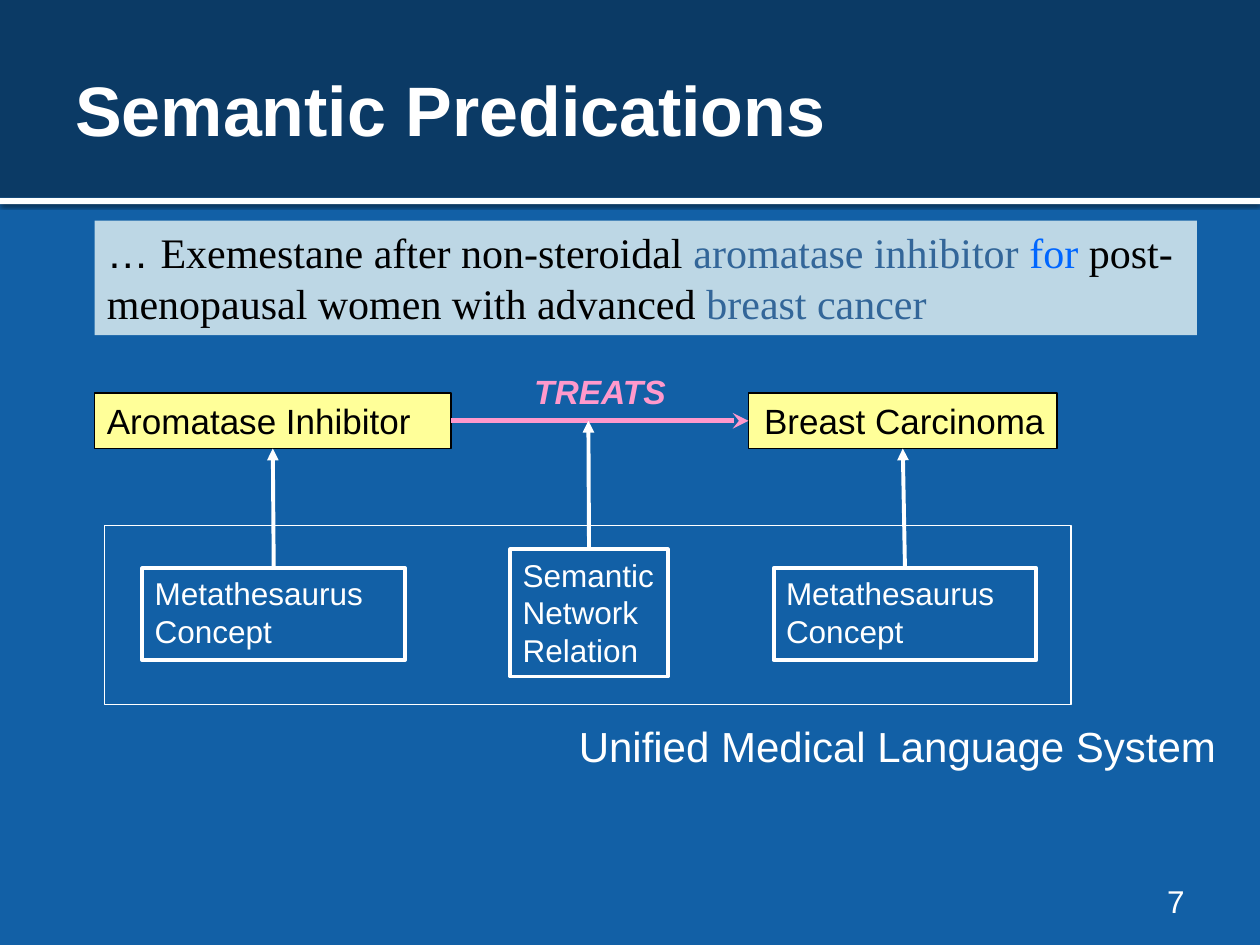
from dataclasses import dataclass
from lxml.etree import SubElement
from pptx import Presentation
from pptx.dml.color import RGBColor
from pptx.enum.shapes import MSO_CONNECTOR, MSO_SHAPE
from pptx.enum.text import MSO_ANCHOR, PP_ALIGN
from pptx.oxml import parse_xml
from pptx.oxml.ns import nsdecls, qn
from pptx.util import Inches, Pt


@dataclass(frozen=True)
class Theme:
    """Colours, fonts and type sizes of the slide."""
    back: str = "1260A6"
    band: str = "0B3A65"
    white: str = "FFFFFF"
    black: str = "000000"
    pale: str = "BDD7E5"
    yellow: str = "FFFF99"
    pink: str = "FF99CC"
    steel: str = "336699"
    blue: str = "0066FF"
    sans: str = "Arial"
    serif: str = "Times New Roman"
    title: int = 40
    large: int = 24
    term: int = 20
    small: int = 18


class Board:
    """Draws styled elements on a grid of 40 columns by 30 rows."""

    def __init__(self, deck, theme):
        """Add a blank slide with the theme's background."""
        self.theme = theme
        self.slide = deck.slides.add_slide(deck.slide_layouts[6])
        self.col, self.row = deck.slide_width / 40, deck.slide_height / 30
        fill = self.slide.background.fill
        fill.solid()
        fill.fore_color.rgb = RGBColor.from_string(theme.back)

    def spot(self, x, y):
        """Turn a column and a row into slide lengths."""
        return round(x * self.col), round(y * self.row)

    def rect(self, area, fill=None, line=None, width=0.75):
        """Draw a rectangle with an optional fill and outline."""
        shape = self.slide.shapes.add_shape(
            MSO_SHAPE.RECTANGLE, *self.spot(*area[:2]), *self.spot(*area[2:]))
        shape.shadow.inherit = False
        if fill:
            shape.fill.solid()
            shape.fill.fore_color.rgb = RGBColor.from_string(fill)
        else:
            shape.fill.background()
        if line:
            shape.line.color.rgb = RGBColor.from_string(line)
            shape.line.width = Pt(width)
        else:
            shape.line.fill.background()
        return shape

    def shade(self, shape):
        """Cast a soft shadow below a shape."""
        effects = shape._element.spPr.find(qn("a:effectLst"))
        effects.append(parse_xml(
            f'<a:outerShdw {nsdecls("a")} blurRad="{Pt(2.5)}" dist="{Pt(0.8)}" '
            f'dir="5400000" rotWithShape="0"><a:srgbClr val="{self.theme.black}">'
            '<a:alpha val="60000"/></a:srgbClr></a:outerShdw>'))

    def style(self, run, size, color, face=None):
        """Set the size, colour and typeface of a run."""
        run.font.size = Pt(size)
        run.font.name = face or self.theme.sans
        run.font.color.rgb = RGBColor.from_string(color)

    def letter(self, shape, text, size, color, align=PP_ALIGN.LEFT,
               anchor=MSO_ANCHOR.TOP, wrap=True):
        """Fill a shape with text in one style."""
        frame = shape.text_frame
        frame.text = text
        frame.word_wrap = wrap
        frame.vertical_anchor = anchor
        for para in frame.paragraphs:
            para.alignment = align
            for run in para.runs:
                self.style(run, size, color)
        return shape

    def label(self, area, text, size, color, **options):
        """Place a text box."""
        box = self.slide.shapes.add_textbox(
            *self.spot(*area[:2]), *self.spot(*area[2:]))
        return self.letter(box, text, size, color, **options)

    def term(self, area, text, **options):
        """Draw a yellow box that names a term."""
        look = self.theme
        box = self.rect(area, look.yellow, look.black)
        return self.letter(box, text, look.term, look.black,
                           anchor=MSO_ANCHOR.MIDDLE, **options)

    def origin(self, area, text, **options):
        """Draw an outlined box that names where a term comes from."""
        look = self.theme
        box = self.rect(area, line=look.white, width=2.25)
        return self.letter(box, text, look.small, look.white, **options)

    def arrow(self, start, color, width, head, goal=None, end=(0, 0)):
        """Lead from a shape's side to a goal's side or a grid spot."""
        link = self.slide.shapes.add_connector(
            MSO_CONNECTOR.STRAIGHT, 0, 0, *self.spot(*end))
        link.begin_connect(*start)
        if goal:
            link.end_connect(*goal)
        link.line.color.rgb = RGBColor.from_string(color)
        link.line.width = Pt(width)
        props = link._element.spPr
        SubElement(props.find(qn("a:ln")), qn("a:tailEnd"), type=head)
        SubElement(props, qn("a:effectLst"))


def main():
    """Build the slide and save it."""
    deck = Presentation()
    deck.slide_width, deck.slide_height = Inches(10), Inches(7.5)
    look = Theme()
    board = Board(deck, look)

    board.shade(board.rect((0, 6.28, 40, 0.2), look.white))
    board.rect((0, 0, 40, 6.28), look.band)
    title = board.label((2, 0.72, 36, 5.48), "Semantic Predications",
                        look.title, look.white, anchor=MSO_ANCHOR.MIDDLE)
    title.text_frame.paragraphs[0].runs[0].font.bold = True

    quote = board.rect((3, 7, 35, 3.64), look.pale)
    board.letter(quote, "… ", look.large, look.black)
    for text, color in (
            ("Exemestane after non-steroidal ", look.black),
            ("aromatase inhibitor ", look.steel),
            ("for", look.blue),
            (" post-menopausal women with advanced ", look.black),
            ("breast cancer", look.steel)):
        run = quote.text_frame.paragraphs[0].add_run()
        run.text = text
        board.style(run, look.large, color, look.serif)

    drug = board.term((3, 12.48, 11.32, 1.76), "Aromatase Inhibitor")
    tumor = board.term((23.76, 12.48, 9.8, 1.76), "Breast Carcinoma",
                       align=PP_ALIGN.RIGHT, wrap=False)
    board.arrow((drug, 3), look.pink, 3, "stealth", goal=(tumor, 1))
    verb = board.label((16.56, 11.32, 5, 2.04), "treats", look.large, look.pink)
    font = verb.text_frame.paragraphs[0].runs[0].font
    font.bold = font.italic = True
    font._element.set("cap", "small")

    bond = board.origin((16.2, 17.44, 5, 4.04), "Semantic\vNetwork\nRelation",
                        wrap=False)
    board.arrow((bond, 0), look.white, 2.25, "triangle", end=(18.68, 13.36))
    for left, goal in ((4.52, drug), (24.56, tumor)):
        box = board.origin((left, 18.04, 8.34, 2.92), "Metathesaurus\nConcept")
        board.arrow((box, 0), look.white, 2.25, "triangle", goal=(goal, 2))

    board.label((28.68, 27.8, 9.32, 1.6), "7", look.small, look.white,
                align=PP_ALIGN.RIGHT)
    board.label((17.72, 22.68, 21.28, 2.04), "Unified Medical Language System",
                look.large, look.white, align=PP_ALIGN.RIGHT, wrap=False)
    board.rect((3.32, 16.68, 30.68, 5.68), line=look.white)
    deck.save("out.pptx")


if __name__ == "__main__":
    main()
